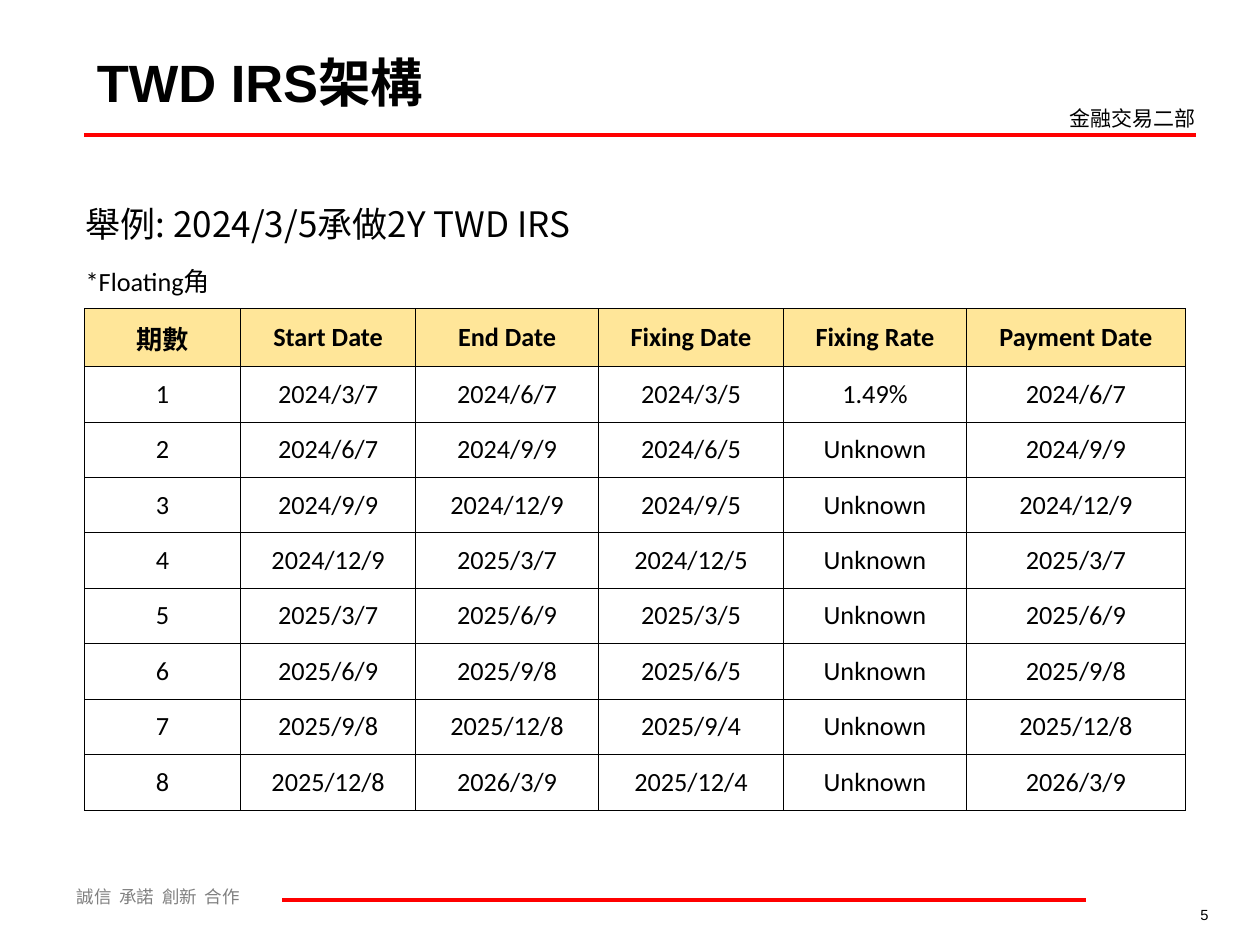
from dataclasses import dataclass
from typing import NamedTuple

from lxml.etree import SubElement
from pptx import Presentation
from pptx.dml.color import RGBColor
from pptx.enum.shapes import MSO_CONNECTOR as Connector
from pptx.enum.text import MSO_ANCHOR as Anchor, MSO_AUTO_SIZE as AutoSize, PP_ALIGN as Align
from pptx.oxml.ns import qn
from pptx.util import Inches, Pt


@dataclass(frozen=True)
class Theme:
    black: str = "000000"
    red: str = "FF0000"
    grey: str = "808080"
    header: str = "FFE699"
    sans: str = "Arial"
    body: str = "Calibri"
    hans: str = "Noto Sans CJK SC"
    hant: str = "Noto Sans CJK TC"
    title_size: float = 30
    example_size: float = 20
    table_size: float = 15
    unit_size: float = 12
    motto_size: float = 10
    number_size: float = 8.4
    rule_width: float = 2.25
    border_width: float = 0.45


THEME = Theme()


class Span(NamedTuple):
    text: str
    size: float
    font: str
    east_asian: str = THEME.hans
    bold: bool = False
    color: str = THEME.black


class Label(NamedTuple):
    left: float
    top: float
    width: float
    height: float
    spans: list[Span]
    frame_format: dict
    para_format: dict


class Rule(NamedTuple):
    left: float
    right: float
    y: float


GROW = {"auto_size": AutoSize.SHAPE_TO_FIT_TEXT}
MOTTO = Span("誠信  承諾  創新  合作", THEME.motto_size, THEME.hans, color=THEME.grey)
UNIT = Span("金融交易二部", THEME.unit_size, THEME.hans)
NUMBER = Span("5", THEME.number_size, THEME.sans)
TITLE = [
    Span("TWD IRS", THEME.title_size, THEME.sans, bold=True),
    Span("架構", THEME.title_size, THEME.hans, bold=True),
]
LABELS = [
    Label(0.51, 6.98, 2.52, 0.27, [MOTTO], GROW, {"space_before": Pt(6.2)}),
    Label(8.39, 0.79, 1.26, 0.3, [UNIT], GROW, {"space_before": Pt(7.5)}),
    Label(8.31, 7.14, 1.38, 0.24, [NUMBER], {}, {"alignment": Align.RIGHT}),
    Label(0.67, 0.3, 7.32, 0.69, TITLE, {"vertical_anchor": Anchor.MIDDLE}, {}),
]
RULES = [Rule(0.67, 9.49, 1.07), Rule(2.24, 8.62, 7.14)]

COLUMN_WIDTHS = [1.24, 1.39, 1.45, 1.47, 1.45, 1.74]
HEADINGS = ["期數", "Start Date", "End Date", "Fixing Date", "Fixing Rate", "Payment Date"]
DATES = [
    "2024/3/7", "2024/6/7", "2024/9/9", "2024/12/9", "2025/3/7",
    "2025/6/9", "2025/9/8", "2025/12/8", "2026/3/9",
]
FIXING_DATES = [
    "2024/3/5", "2024/6/5", "2024/9/5", "2024/12/5",
    "2025/3/5", "2025/6/5", "2025/9/4", "2025/12/4",
]
PERIODS = [
    [str(number), start, end, fixing, "1.49%" if number == 1 else "Unknown", end]
    for number, (start, end, fixing) in enumerate(zip(DATES, DATES[1:], FIXING_DATES), 1)
]
ROW_HEIGHTS = [0.68, 0.46, 0.46] + [0.44] * len(PERIODS)
CELL_FORMAT = {
    "margin_left": Inches(0.01),
    "margin_right": Inches(0.01),
    "vertical_anchor": Anchor.MIDDLE,
}
OVERHANG = Inches(-0.18)


def apply_format(target, values: dict) -> None:
    for name, value in values.items():
        setattr(target, name, value)


def add_span(para, span: Span) -> None:
    run = para.add_run()
    run.text = span.text
    apply_format(run.font, {"size": Pt(span.size), "name": span.font, "bold": span.bold})
    run.font.color.rgb = RGBColor.from_string(span.color)
    SubElement(run.font._element, qn("a:ea"), typeface=span.east_asian)


def draw_label(page, label: Label) -> None:
    box = page.shapes.add_textbox(*map(Inches, label[:4]))
    apply_format(box.text_frame, {"word_wrap": True, **label.frame_format})
    para = box.text_frame.paragraphs[0]
    apply_format(para, label.para_format)
    for span in label.spans:
        add_span(para, span)


def draw_rule(page, rule: Rule) -> None:
    ends = map(Inches, (rule.left, rule.y, rule.right, rule.y))
    line = page.shapes.add_connector(Connector.STRAIGHT, *ends)
    line.line.color.rgb = RGBColor.from_string(THEME.red)
    line.line.width = Pt(THEME.rule_width)
    SubElement(line._element.spPr, qn("a:effectLst"))


def set_borders(cell, visible: str) -> None:
    properties = cell._tc.get_or_add_tcPr()
    for side in "LRTB":
        width = str(int(Pt(THEME.border_width)))
        border = SubElement(properties, qn(f"a:ln{side}"), w=width)
        if side in visible:
            fill = SubElement(border, qn("a:solidFill"))
            SubElement(fill, qn("a:srgbClr"), val=THEME.black)
        else:
            SubElement(border, qn("a:noFill"))


def fill_cell(cell, span: Span, alignment: Align) -> None:
    para = cell.text_frame.paragraphs[0]
    para.alignment = alignment
    add_span(para, span)


def draw_schedule(page) -> None:
    frame = page.shapes.add_table(
        len(ROW_HEIGHTS), len(COLUMN_WIDTHS), Inches(0.67), Inches(1.31),
        Inches(sum(COLUMN_WIDTHS)), Inches(sum(ROW_HEIGHTS)),
    )
    table = frame.table
    apply_format(table, {"first_row": False, "horz_banding": False})
    for column, width in zip(table.columns, COLUMN_WIDTHS):
        column.width = Inches(width)
    for index, (row, height) in enumerate(zip(table.rows, ROW_HEIGHTS)):
        row.height = Inches(height)
        for cell in row.cells:
            apply_format(cell, CELL_FORMAT)
            set_borders(cell, {0: "", 1: "B"}.get(index, "LRTB"))
            if index == 2:
                cell.fill.solid()
                cell.fill.fore_color.rgb = RGBColor.from_string(THEME.header)
            else:
                cell.fill.background()

    heading = table.cell(0, 0)
    heading.merge(table.cell(0, 2))
    heading.margin_bottom = OVERHANG
    example = Span("舉例: 2024/3/5承做2Y TWD IRS", THEME.example_size, THEME.hant, THEME.hant)
    fill_cell(heading, example, Align.LEFT)
    leg = Span("*Floating角", THEME.table_size, THEME.body, THEME.hant)
    fill_cell(table.cell(1, 0), leg, Align.LEFT)
    for index, texts in enumerate([HEADINGS, *PERIODS], 2):
        for column, text in enumerate(texts):
            span = Span(text, THEME.table_size, THEME.body, THEME.hant, bold=index == 2)
            fill_cell(table.cell(index, column), span, Align.CENTER)


def main() -> None:
    deck = Presentation()
    apply_format(deck, {"slide_width": Inches(10), "slide_height": Inches(7.5)})
    page = deck.slides.add_slide(deck.slide_layouts[6])
    for rule in RULES:
        draw_rule(page, rule)
    draw_schedule(page)
    for label in LABELS:
        draw_label(page, label)
    deck.save("out.pptx")


if __name__ == "__main__":
    main()
